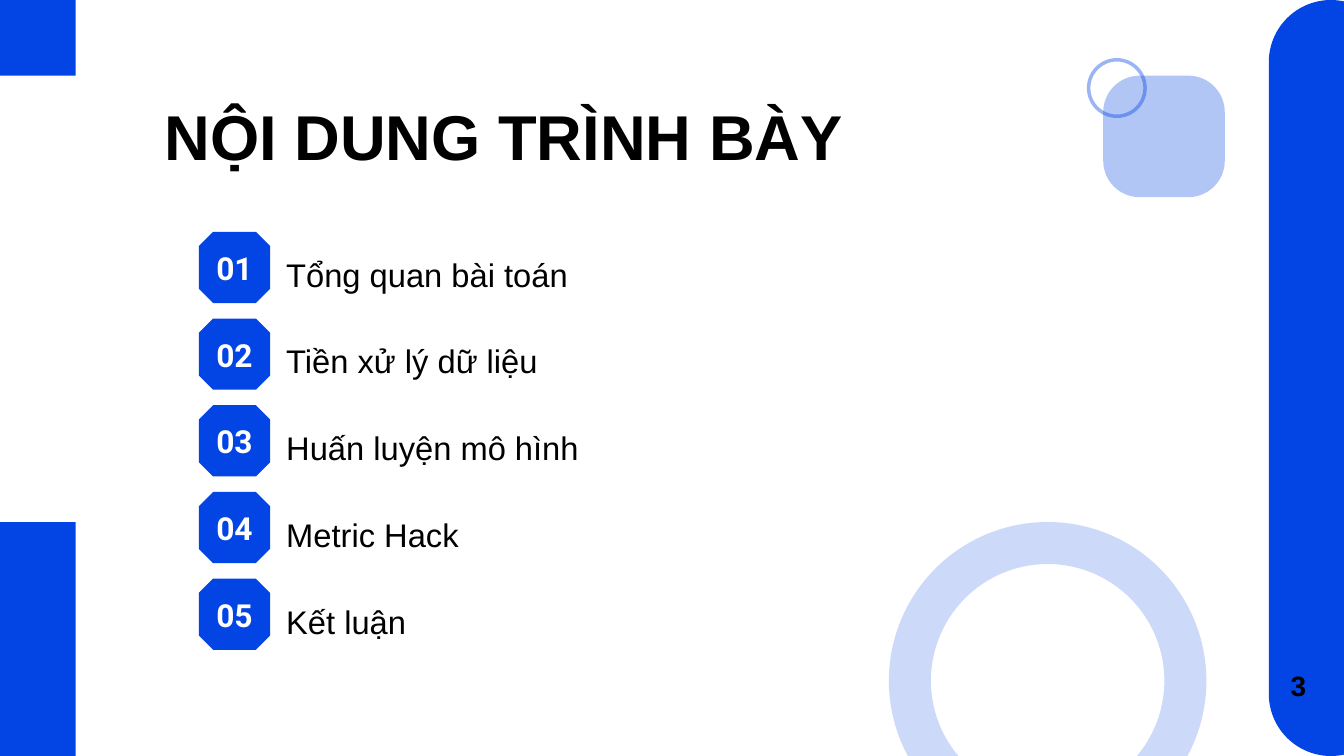
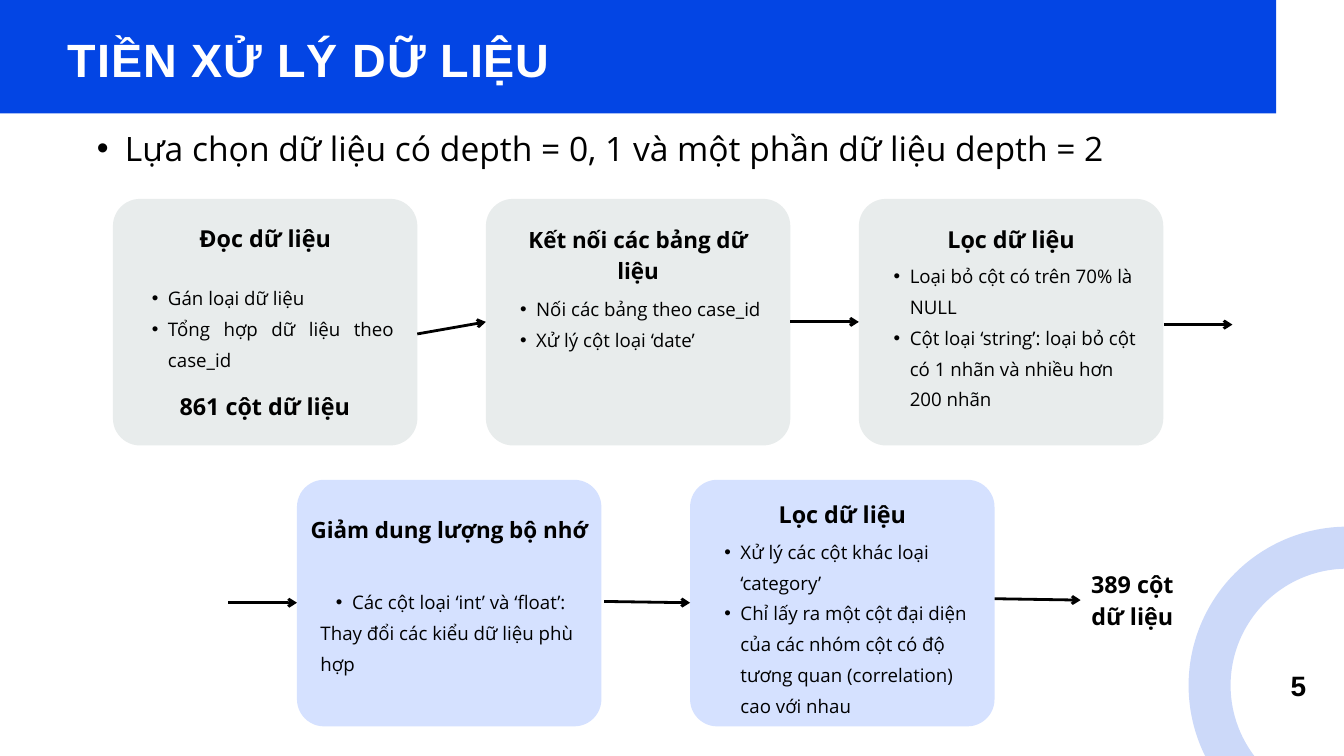
"""Build the agenda slide and the data preprocessing slide."""

from dataclasses import dataclass
from typing import NamedTuple

import lxml.etree
import pptx
import pptx.dml.color
import pptx.enum.shapes
import pptx.enum.text
import pptx.oxml.ns
import pptx.util

Pt = pptx.util.Pt
RGBColor = pptx.dml.color.RGBColor
ShapeKind = pptx.enum.shapes.MSO_SHAPE
Align = pptx.enum.text.PP_ALIGN
Anchor = pptx.enum.text.MSO_ANCHOR
qn = pptx.oxml.ns.qn

BLUE = RGBColor(0x03, 0x45, 0xE4)
PALE_BLUE = RGBColor(0xD5, 0xE1, 0xFF)
PALE_GREY = RGBColor(0xE8, 0xEC, 0xEC)
BLACK = RGBColor(0, 0, 0)
WHITE = RGBColor(0xFF, 0xFF, 0xFF)

HEADING_FONT = "Arial"
BODY_FONT = "Open Sans"
NUMBER_FONT = "Roboto"

SLIDE_WIDTH, SLIDE_HEIGHT = 1440, 810
TITLE_ONLY = 5
CARD_WIDTH, CARD_HEIGHT = 326.2, 264.2
TOP_ROW, BOTTOM_ROW = 213.1, 514.1
TOP_ROW_LEFT, TOP_ROW_PITCH = 121, 399.6
AGENDA_TOP, AGENDA_PITCH, BADGE_SIZE = 248.4, 92.9, 76.3


class Box(NamedTuple):
    """Position and size in points."""

    left: float
    top: float
    width: float
    height: float

    def lengths(self) -> list:
        """Return the four values as lengths."""
        return [Pt(value) for value in self]


class Arrow(NamedTuple):
    """Start and end of an arrow in points."""

    x1: float
    y1: float
    x2: float
    y2: float


@dataclass(frozen=True)
class Step:
    """One card of the preprocessing flow."""

    left: float
    top: float
    fill: RGBColor
    heading: str
    heading_top: float
    heading_width: float
    heading_size: float
    details: tuple[str, ...]
    details_box: Box
    align: Align = Align.LEFT
    bullets: int = 2


AGENDA = (
    "Tổng quan bài toán",
    "Tiền xử lý dữ liệu",
    "Huấn luyện mô hình",
    "Metric Hack",
    "Kết luận",
)

STEPS = (
    Step(TOP_ROW_LEFT, TOP_ROW, PALE_GREY, "Đọc dữ liệu", 235.4, 142, 25,
         ("Gán loại dữ liệu", "Tổng hợp dữ liệu theo case_id"),
         Box(146.2, 298.8, 275.8, 94.3), Align.JUSTIFY),
    Step(TOP_ROW_LEFT + TOP_ROW_PITCH, TOP_ROW, PALE_GREY,
         "Kết nối các bảng dữ liệu", 237.6, 285.8, 24,
         ("Nối các bảng theo case_id", "Xử lý cột loại ‘date’"),
         Box(540.7, 310.3, 275.8, 61.9), Align.JUSTIFY),
    Step(TOP_ROW_LEFT + 2 * TOP_ROW_PITCH, TOP_ROW, PALE_GREY,
         "Lọc dữ liệu", 236.2, 138, 25,
         ("Loại bỏ cột có trên 70% là NULL",
          "Cột loại ‘string’: loại bỏ cột có 1 nhãn và nhiều hơn 200 nhãn"),
         Box(941, 275, 285.8, 159.1)),
    Step(318.2, BOTTOM_ROW, PALE_BLUE, "Giảm dung lượng bộ nhớ", 547.9, 297.4, 24,
         ("Các cột loại ‘int’ và ‘float’:", "Thay đổi các kiểu dữ liệu phù hợp"),
         Box(343.4, 624.2, 273.6, 94.3), bullets=1),
    Step(739.4, BOTTOM_ROW, PALE_BLUE, "Lọc dữ liệu", 531.4, 138, 25,
         ("Xử lý các cột khác loại ‘category’",
          "Chỉ lấy ra một cột đại diện của các nhóm cột có độ tương quan "
          "(correlation) cao với nhau"),
         Box(759.6, 570.2, 286.6, 191.5)),
)

ARROWS = (
    Arrow(447.1, 357.8, 520.6, 344.9),
    Arrow(846.8, 344.9, 920.2, 344.9),
    Arrow(1247, 347.8, 1320.5, 347.8),
    Arrow(244.8, 645.8, 318.2, 645.8),
    Arrow(647.3, 644.4, 739.4, 645.8),
    Arrow(1065.6, 641.5, 1157.8, 643),
)


def write(frame, *lines: str, size: float, spacing: float, font: str = BODY_FONT,
          color: RGBColor = BLACK, bold: bool = False, align: Align = Align.LEFT,
          anchor: Anchor = Anchor.TOP, bottom: float = 0, tracking: float = 0,
          bullets: int = 0, indent: float = 33.8, hanging: float = 17.3) -> None:
    """Fill a text frame with formatted paragraphs, the first ones bulleted."""
    frame.word_wrap = True
    frame.auto_size = pptx.enum.text.MSO_AUTO_SIZE.NONE
    frame.vertical_anchor = anchor
    frame.margin_left = frame.margin_right = frame.margin_top = 0
    frame.margin_bottom = Pt(bottom)
    for index, line in enumerate(lines):
        paragraph = frame.add_paragraph() if index else frame.paragraphs[0]
        paragraph.alignment = align
        paragraph.line_spacing = Pt(spacing)
        run = paragraph.add_run()
        run.text = line
        run.font.name = font
        run.font.size = Pt(size)
        run.font.bold = bold
        run.font.color.rgb = color
        if tracking:
            run.font._element.set("spc", str(round(tracking * 100)))
        if index < bullets:
            properties = paragraph._p.get_or_add_pPr()
            properties.set("marL", str(Pt(indent)))
            properties.set("indent", str(-Pt(hanging)))
            lxml.etree.SubElement(properties, qn("a:buFont"), typeface="Arial")
            lxml.etree.SubElement(properties, qn("a:buChar"), char="•")


def add_text(slide, box: Box, *lines: str, **text_format) -> None:
    """Add a text box holding the given lines."""
    write(slide.shapes.add_textbox(*box.lengths()).text_frame, *lines, **text_format)


def add_title(slide, box: Box, text: str, **text_format) -> None:
    """Place and format the title placeholder in front of earlier shapes."""
    title = slide.shapes.title
    title.left, title.top, title.width, title.height = box.lengths()
    write(title.text_frame, text, font=HEADING_FONT, bold=True, **text_format)
    title._element.getparent().append(title._element)


def add_panel(slide, kind: ShapeKind, box: Box, fill: RGBColor | None = BLUE,
              outline: float = 0, opacity: int = 100, corner: float | None = None):
    """Add a preset shape that is either filled or outlined in blue."""
    panel = slide.shapes.add_shape(kind, *box.lengths())
    panel.shadow.inherit = False
    if corner is not None:
        panel.adjustments[0] = corner
    if fill is None:
        panel.fill.background()
        panel.line.color.rgb = BLUE
        panel.line.width = Pt(outline)
    else:
        panel.fill.solid()
        panel.fill.fore_color.rgb = fill
        panel.line.fill.background()
    if opacity < 100:
        for color in panel._element.spPr.xpath(".//a:srgbClr"):
            lxml.etree.SubElement(color, qn("a:alpha"), val=str(opacity * 1000))
    return panel


def add_ring(slide, left: float, top: float, diameter: float,
             outline: float, opacity: int) -> None:
    """Add a translucent blue ring."""
    add_panel(slide, ShapeKind.OVAL, Box(left, top, diameter, diameter),
              fill=None, outline=outline, opacity=opacity)


def add_large_ring(slide, left: float, top: float) -> None:
    """Add the thick decorative ring at the lower edge."""
    add_ring(slide, left, top, 295.2, outline=45, opacity=20)


def add_arrow(slide, arrow: Arrow) -> None:
    """Add a black arrow between two points."""
    connector = slide.shapes.add_connector(
        pptx.enum.shapes.MSO_CONNECTOR.STRAIGHT, *[Pt(value) for value in arrow])
    connector.line.color.rgb = BLACK
    connector.line.width = Pt(3)
    lxml.etree.SubElement(connector.line._get_or_add_ln(), qn("a:tailEnd"), type="arrow")
    lxml.etree.SubElement(connector._element.spPr, qn("a:effectLst"))


def add_page_number(slide, number: int) -> None:
    """Add the page number at the lower right."""
    add_text(slide, Box(1382.4, 709.9, 17.3, 43.2), str(number), size=30, spacing=42,
             font=HEADING_FONT, bold=True, align=Align.CENTER)


def add_agenda_item(slide, index: int, topic: str) -> None:
    """Add a numbered badge and its topic."""
    top = AGENDA_TOP + index * AGENDA_PITCH
    badge = add_panel(slide, ShapeKind.OCTAGON,
                      Box(213.1, top, BADGE_SIZE, BADGE_SIZE), corner=0.2)
    write(badge.text_frame, f"{index + 1:02}", size=34, spacing=47.6, font=NUMBER_FONT,
          color=WHITE, bold=True, align=Align.CENTER, anchor=Anchor.MIDDLE, bottom=5.8)
    add_text(slide, Box(306.7, top + 17.3, 578.9, 47.5), topic,
             size=35, spacing=49, font=HEADING_FONT)


def add_step(slide, step: Step) -> None:
    """Add a card with a centred heading and its details."""
    add_panel(slide, ShapeKind.ROUNDED_RECTANGLE,
              Box(step.left, step.top, CARD_WIDTH, CARD_HEIGHT),
              fill=step.fill, corner=0.11)
    heading_left = step.left + (CARD_WIDTH - step.heading_width) / 2
    add_text(slide, Box(heading_left, step.heading_top, step.heading_width, 33),
             step.heading, size=step.heading_size, spacing=step.heading_size * 1.4,
             bold=True, align=Align.CENTER)
    add_text(slide, step.details_box, *step.details, size=20, spacing=33,
             align=step.align, bullets=step.bullets)


def build_agenda(slide) -> None:
    """Build the agenda slide."""
    add_panel(slide, ShapeKind.ROUNDED_RECTANGLE,
              Box(1359.4, 0, 133.2, SLIDE_HEIGHT), corner=0.5)
    add_panel(slide, ShapeKind.RECTANGLE, Box(0, 559.4, 81, 250.6))
    add_panel(slide, ShapeKind.RECTANGLE, Box(0, 0, 81, 81))
    add_title(slide, Box(176.4, 90.7, 729.4, 99.4), "NỘI DUNG TRÌNH BÀY",
              size=67.8, spacing=94.9)
    add_panel(slide, ShapeKind.ROUNDED_RECTANGLE, Box(1182, 81, 130.3, 130.3),
              opacity=30, corner=0.3)
    add_ring(slide, 1166.4, 64.1, 60.5, outline=3.75, opacity=40)
    add_large_ring(slide, 974.9, 581.8)
    for index, topic in enumerate(AGENDA):
        add_agenda_item(slide, index, topic)
    add_page_number(slide, 3)


def build_preprocessing(slide) -> None:
    """Build the preprocessing flow slide."""
    add_panel(slide, ShapeKind.RECTANGLE, Box(0, 0, 1367.3, 121.5))
    add_title(slide, Box(72.7, 23, 848.2, 72.7), "TIỀN XỬ LÝ DỮ LIỆU",
              size=50, spacing=70, color=WHITE, tracking=1)
    add_text(slide, Box(72.7, 124.6, 1180.8, 51.8),
             "Lựa chọn dữ liệu có depth = 0, 1 và một phần dữ liệu depth = 2",
             size=36, spacing=55.8, align=Align.JUSTIFY,
             bullets=1, indent=61.2, hanging=30.2)
    add_large_ring(slide, 1296, 586.8)
    for step in STEPS:
        add_step(slide, step)
    for box, total in ((Box(192.2, 415.4, 183, 33), "861 cột dữ liệu"),
                       (Box(1159.9, 605.5, 106.6, 67.7), "389 cột dữ liệu")):
        add_text(slide, box, total, size=25, spacing=35, bold=True, align=Align.CENTER)
    for arrow in ARROWS:
        add_arrow(slide, arrow)
    add_page_number(slide, 5)


def main() -> None:
    """Create and save the presentation."""
    deck = pptx.Presentation()
    deck.slide_width, deck.slide_height = Pt(SLIDE_WIDTH), Pt(SLIDE_HEIGHT)
    for build in (build_agenda, build_preprocessing):
        build(deck.slides.add_slide(deck.slide_layouts[TITLE_ONLY]))
    deck.save("out.pptx")


if __name__ == "__main__":
    main()
